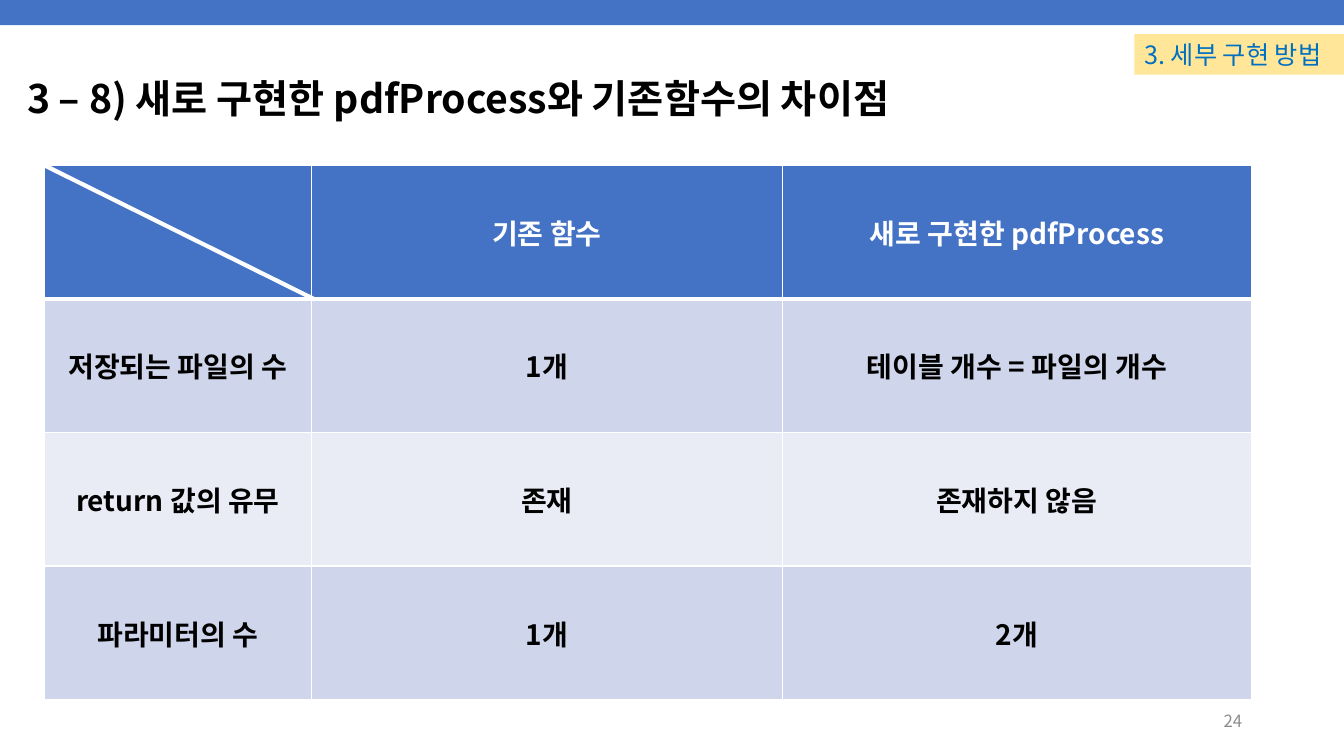
"""Build the slide comparing the new pdfProcess with the existing function."""
from dataclasses import dataclass

from lxml import etree
from pptx import Presentation
from pptx.dml.color import RGBColor
from pptx.enum.shapes import MSO_CONNECTOR, MSO_SHAPE
from pptx.enum.text import MSO_ANCHOR, PP_ALIGN
from pptx.oxml.ns import qn
from pptx.slide import Slide
from pptx.table import _Cell
from pptx.text.text import TextFrame
from pptx.util import Inches, Pt

RECTANGLE = MSO_SHAPE.RECTANGLE
STRAIGHT = MSO_CONNECTOR.STRAIGHT
TOP, MIDDLE = MSO_ANCHOR.TOP, MSO_ANCHOR.MIDDLE
LEFT, CENTER, RIGHT = PP_ALIGN.LEFT, PP_ALIGN.CENTER, PP_ALIGN.RIGHT


@dataclass(frozen=True)
class Theme:
    font: str = "Noto Sans CJK KR"
    blue: str = "4472C4"
    white: str = "FFFFFF"
    black: str = "000000"
    gray: str = "8C8C8C"
    tag_fill: str = "FFE699"
    tag_text: str = "0070C0"
    bands: tuple[str, str] = ("CFD5EA", "E9EBF5")
    title_size: float = 28
    table_size: float = 20
    tag_size: float = 18
    number_size: float = 12
    thin: float = 1
    thick: float = 3


@dataclass(frozen=True)
class Box:
    left: float
    top: float
    width: float
    height: float

    def lengths(self) -> tuple[Inches, Inches, Inches, Inches]:
        return Inches(self.left), Inches(self.top), Inches(self.width), Inches(self.height)


@dataclass(frozen=True)
class Label:
    text: str
    size: float
    color: str
    bold: bool = False
    align: PP_ALIGN = LEFT
    anchor: MSO_ANCHOR = MIDDLE
    spacing: float = 1.0


THEME = Theme()
BAR = Box(0, 0, 13.33, 0.25)
TITLE = Box(0.17, 0.55, 12.93, 0.89)
NUMBER = Box(9.42, 6.95, 3, 0.4)
TAG = Box(11.25, 0.34, 2.22, 0.4)
TABLE = Box(0.44, 1.64, 11.97, 5.3)
DIAGONAL = Box(0.44, 1.64, 2.68, 1.33)
COLUMN_WIDTHS = (2.65, 4.67, 4.65)
ROWS = (
    ("", "기존 함수", "새로 구현한 pdfProcess"),
    ("저장되는 파일의 수", "1개", "테이블 개수 = 파일의 개수"),
    ("return 값의 유무", "존재", "존재하지 않음"),
    ("파라미터의 수", "1개", "2개"),
)


def write_label(frame: TextFrame, label: Label) -> None:
    frame.word_wrap = True
    frame.vertical_anchor = label.anchor
    paragraph = frame.paragraphs[0]
    paragraph.alignment = label.align
    paragraph.line_spacing = label.spacing
    run = paragraph.add_run()
    run.text = label.text
    run.font.size = Pt(label.size)
    run.font.bold = label.bold
    run.font.color.rgb = RGBColor.from_string(label.color)
    run.font.name = THEME.font
    east_asian = etree.SubElement(run.font._element, qn("a:ea"))
    east_asian.set("typeface", THEME.font)


def add_rectangle(slide: Slide, box: Box, fill: str, label: Label | None = None) -> None:
    shape = slide.shapes.add_shape(RECTANGLE, *box.lengths())
    shape.shadow.inherit = False
    shape.fill.solid()
    shape.fill.fore_color.rgb = RGBColor.from_string(fill)
    shape.line.fill.background()
    if label:
        write_label(shape.text_frame, label)


def add_text(slide: Slide, box: Box, label: Label) -> None:
    write_label(slide.shapes.add_textbox(*box.lengths()).text_frame, label)


def set_borders(cell: _Cell, top: float, bottom: float) -> None:
    properties = cell._tc.get_or_add_tcPr()
    widths = {"lnL": THEME.thin, "lnR": THEME.thin, "lnT": top, "lnB": bottom}
    for position, (side, width) in enumerate(widths.items()):
        border = etree.Element(qn(f"a:{side}"), w=str(Pt(width)))
        fill = etree.SubElement(border, qn("a:solidFill"))
        etree.SubElement(fill, qn("a:srgbClr"), val=THEME.white)
        properties.insert(position, border)


def add_comparison(slide: Slide) -> None:
    table = slide.shapes.add_table(len(ROWS), len(COLUMN_WIDTHS), *TABLE.lengths()).table
    for column, width in zip(table.columns, COLUMN_WIDTHS):
        column.width = Inches(width)
    for row_index, texts in enumerate(ROWS):
        header = row_index == 0
        fill = THEME.blue if header else THEME.bands[(row_index - 1) % 2]
        color = THEME.white if header else THEME.black
        top = THEME.thick if row_index == 1 else THEME.thin
        bottom = THEME.thick if header else THEME.thin
        for column_index, text in enumerate(texts):
            cell = table.cell(row_index, column_index)
            cell.fill.solid()
            cell.fill.fore_color.rgb = RGBColor.from_string(fill)
            set_borders(cell, top, bottom)
            cell.vertical_anchor = MIDDLE
            if text:
                label = Label(text, THEME.table_size, color, bold=True, align=CENTER)
                write_label(cell.text_frame, label)


def add_diagonal(slide: Slide, box: Box) -> None:
    left, top, width, height = box.lengths()
    connector = slide.shapes.add_connector(STRAIGHT, left, top, left + width, top + height)
    connector.line.color.rgb = RGBColor.from_string(THEME.white)
    connector.line.width = Pt(THEME.thick)
    etree.SubElement(connector._element.spPr, qn("a:effectLst"))


def main() -> None:
    presentation = Presentation()
    presentation.slide_width = Inches(13.33)
    presentation.slide_height = Inches(7.5)
    slide = presentation.slides.add_slide(presentation.slide_layouts[6])
    add_rectangle(slide, BAR, THEME.blue)
    title = "3 – 8) 새로 구현한 pdfProcess와 기존함수의 차이점"
    add_text(slide, TITLE, Label(title, THEME.title_size, THEME.black, bold=True, spacing=0.9))
    add_text(slide, NUMBER, Label("24", THEME.number_size, THEME.gray, align=RIGHT))
    tag = Label("3. 세부 구현 방법", THEME.tag_size, THEME.tag_text, anchor=TOP)
    add_rectangle(slide, TAG, THEME.tag_fill, tag)
    add_comparison(slide)
    add_diagonal(slide, DIAGONAL)
    presentation.save("out.pptx")


if __name__ == "__main__":
    main()
